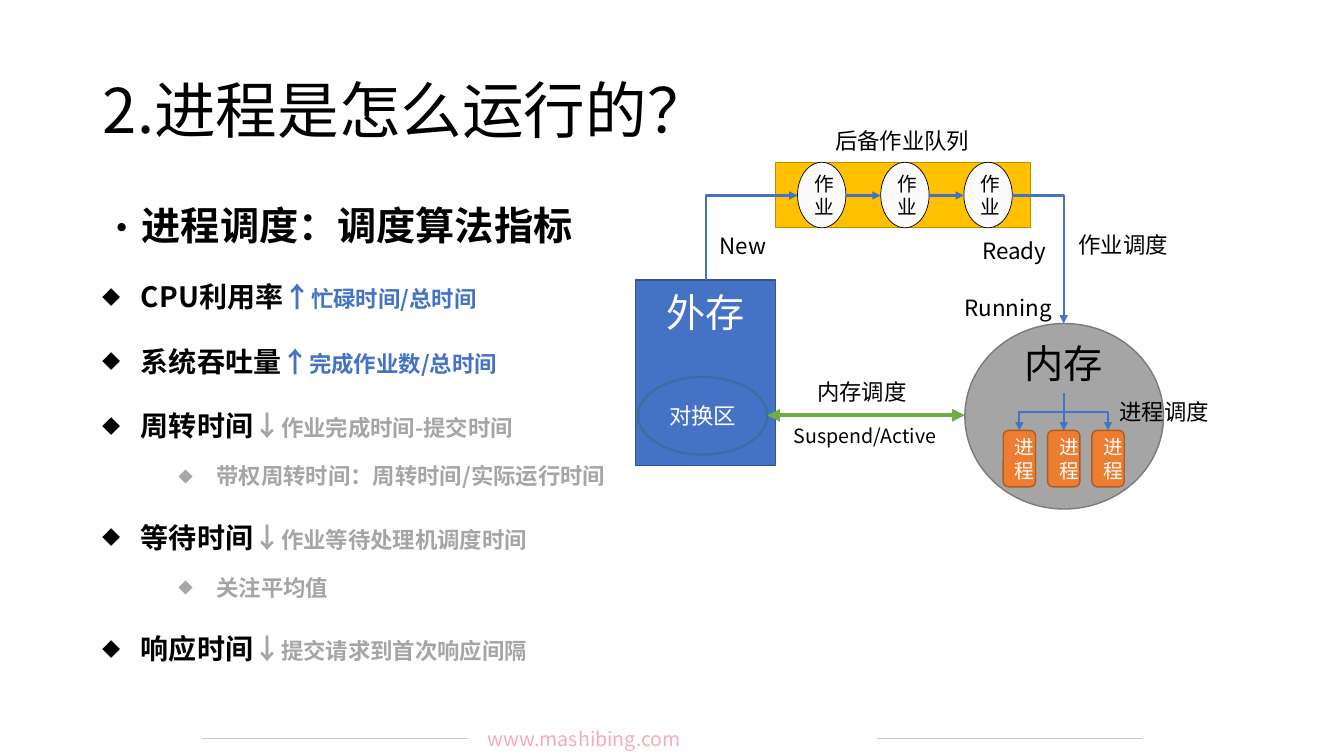
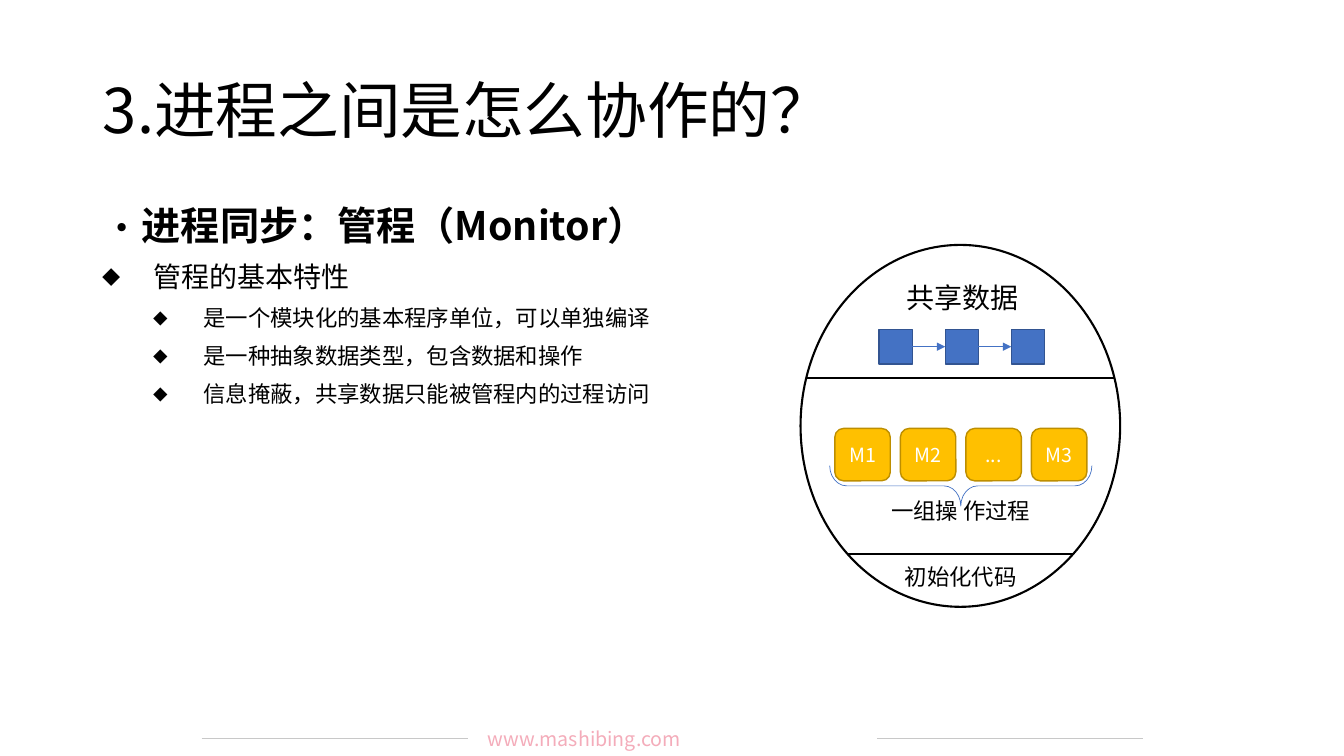
from dataclasses import dataclass
from typing import Optional

import lxml.etree
import pptx
import pptx.dml.color
import pptx.enum.dml
import pptx.enum.shapes
import pptx.enum.text
import pptx.oxml.ns
import pptx.util

Inches = pptx.util.Inches
qn = pptx.oxml.ns.qn
Kind = pptx.enum.shapes.MSO_SHAPE
Link = pptx.enum.shapes.MSO_CONNECTOR
Align = pptx.enum.text.PP_ALIGN
Anchor = pptx.enum.text.MSO_ANCHOR
Fit = pptx.enum.text.MSO_AUTO_SIZE


@dataclass(frozen=True)
class Theme:
    font: str = "Noto Sans CJK SC"
    black: str = "000000"
    white: str = "FFFFFF"
    pale: str = "FAFAFA"
    blue: str = "4472C4"
    blue_edge: str = "325491"
    swap_edge: str = "396E9E"
    gold: str = "FFC000"
    gold_edge: str = "BD8E00"
    gray: str = "A5A5A5"
    gray_edge: str = "7A7A7A"
    orange: str = "ED7D31"
    orange_edge: str = "AF5C24"
    green: str = "70AD47"
    pink: str = "F4ACBA"
    rule: str = "C8C8C8"
    title: float = 44
    heading: float = 28
    item: float = 20
    label: float = 16
    small: float = 14


THEME = Theme()


@dataclass(frozen=True)
class Piece:
    text: str
    size: float
    color: str = THEME.black
    bold: bool = False


@dataclass(frozen=True)
class Bullet:
    pieces: tuple[Piece, ...]
    margin: float
    hanging: float
    spacing: float = 0.9
    before: float = 10
    level: int = 0
    mark: str = "◆"
    mark_percent: int = 65


@dataclass(frozen=True)
class Label:
    text: str
    left: float
    top: float
    width: float
    height: float = 0.37
    size: float = THEME.label


@dataclass(frozen=True)
class Look:
    kind: Kind
    fill: Optional[str]
    edge: str
    edge_width: float = 1
    size: float = THEME.small
    color: str = THEME.white


JOB = Look(Kind.OVAL, THEME.pale, THEME.black, 0.5, color=THEME.black)
QUEUE = Look(Kind.RECTANGLE, THEME.gold, THEME.gold_edge)
DISK = Look(Kind.RECTANGLE, THEME.blue, THEME.blue_edge, size=THEME.heading)
SWAP = Look(Kind.OVAL, THEME.blue, THEME.swap_edge, 1.5, THEME.label)
MEMORY = Look(Kind.OVAL, THEME.gray, THEME.gray_edge)
PROCESS = Look(Kind.ROUNDED_RECTANGLE, THEME.orange, THEME.orange_edge)
MONITOR = Look(Kind.OVAL, None, THEME.black, 1.5)
METHOD = Look(Kind.ROUNDED_RECTANGLE, THEME.gold, THEME.gold_edge)
DATA = Look(Kind.RECTANGLE, THEME.blue, THEME.blue_edge)
BRACE = Look(Kind.LEFT_BRACE, None, THEME.blue, 0.5)


def rgb(color: str):
    return pptx.dml.color.RGBColor.from_string(color)


def add_run(paragraph, piece: Piece) -> None:
    run = paragraph.add_run()
    run.text = piece.text
    font = run.font
    font.name = THEME.font
    font.size = pptx.util.Pt(piece.size)
    font.bold = piece.bold
    font.color.rgb = rgb(piece.color)
    latin = font._element.find(qn("a:latin"))
    east_asian = lxml.etree.Element(qn("a:ea"), typeface=THEME.font)
    latin.addnext(east_asian)


def add_label(slide, label: Label, color: str = THEME.black, align=Align.CENTER):
    shape = slide.shapes.add_textbox(
        Inches(label.left), Inches(label.top), Inches(label.width), Inches(label.height))
    frame = shape.text_frame
    frame.word_wrap = True
    frame.auto_size = Fit.SHAPE_TO_FIT_TEXT
    paragraph = frame.paragraphs[0]
    paragraph.alignment = align
    add_run(paragraph, Piece(label.text, label.size, color))
    return shape


def add_figure(slide, look: Look, left: float, top: float, width: float, height: float,
               text: str = ""):
    shape = slide.shapes.add_shape(
        look.kind, Inches(left), Inches(top), Inches(width), Inches(height))
    shape.shadow.inherit = False
    if look.fill:
        shape.fill.solid()
        shape.fill.fore_color.rgb = rgb(look.fill)
    else:
        shape.fill.background()
    shape.line.color.rgb = rgb(look.edge)
    shape.line.width = pptx.util.Pt(look.edge_width)
    if text:
        shape.text_frame.word_wrap = True
        shape.text_frame.vertical_anchor = Anchor.MIDDLE
        paragraph = shape.text_frame.paragraphs[0]
        paragraph.alignment = Align.CENTER
        add_run(paragraph, Piece(text, look.size, look.color))
    return shape


def add_line(slide, start: tuple[float, float], end: tuple[float, float], color: str,
             width: float, ends: tuple[str, ...] = (), kind=Link.STRAIGHT):
    connector = slide.shapes.add_connector(
        kind, *(Inches(value) for value in start + end))
    connector.line.color.rgb = rgb(color)
    connector.line.width = pptx.util.Pt(width)
    outline = connector.line._ln
    for name in ends:
        lxml.etree.SubElement(outline, qn(f"a:{name}"), type="triangle")
    lxml.etree.SubElement(connector.element.spPr, qn("a:effectLst"))
    return connector


def add_elbow(slide, start: tuple[float, float], end: tuple[float, float],
              first: tuple, last: tuple, bends: int, upright: bool):
    if upright:
        middle_x, middle_y = (start[0] + end[0]) / 2, (start[1] + end[1]) / 2
        half_x, half_y = (end[0] - start[0]) / 2, (end[1] - start[1]) / 2
        start = (middle_x - half_y, middle_y + half_x)
        end = (middle_x + half_y, middle_y - half_x)
    connector = add_line(slide, start, end, THEME.blue, 1.5, ("tailEnd",), Link.ELBOW)
    properties = connector.element.spPr
    properties.find(qn("a:prstGeom")).set("prst", f"bentConnector{bends + 1}")
    if upright:
        properties.find(qn("a:xfrm")).set("rot", "5400000")
    joints = connector.element.find(".//" + qn("p:cNvCxnSpPr"))
    for name, (shape, site) in (("stCxn", first), ("endCxn", last)):
        lxml.etree.SubElement(
            joints, qn(f"a:{name}"), id=str(shape.shape_id), idx=str(site))


def add_body(slide, bullets: list[Bullet]) -> None:
    shape = slide.shapes.add_textbox(Inches(0.92), Inches(2), Inches(11.5), Inches(5.1))
    frame = shape.text_frame
    frame.word_wrap = True
    for index, bullet in enumerate(bullets):
        paragraph = frame.add_paragraph() if index else frame.paragraphs[0]
        paragraph.level = bullet.level
        properties = paragraph._p.get_or_add_pPr()
        properties.set("marL", str(Inches(bullet.margin)))
        properties.set("indent", str(-Inches(bullet.hanging)))
        lxml.etree.SubElement(
            properties, qn("a:buSzPct"), val=str(bullet.mark_percent * 1000))
        lxml.etree.SubElement(properties, qn("a:buFont"), typeface=THEME.font)
        lxml.etree.SubElement(properties, qn("a:buChar"), char=bullet.mark)
        paragraph.line_spacing = bullet.spacing
        if index:
            paragraph.space_before = pptx.util.Pt(bullet.before)
        for piece in bullet.pieces:
            add_run(paragraph, piece)


def heading(text: str) -> Bullet:
    piece = Piece(text, THEME.heading, bold=True)
    return Bullet((piece,), 0.25, 0.25, mark="•", mark_percent=100)


def metric(name: str, arrow: str, meaning: str) -> Bullet:
    color = THEME.blue if arrow == "↑" else THEME.gray
    pieces = (Piece(name, THEME.item, bold=True), Piece(arrow, THEME.item, color, True),
              Piece(meaning, THEME.label, color, True))
    return Bullet(pieces, 0.38, 0.38, 1.5)


def remark(text: str) -> Bullet:
    return Bullet((Piece(text, THEME.label, THEME.gray, True),), 1.13, 0.38, 1.5, 5, 1)


def add_footer(slide, layout) -> None:
    parts = [add_line(slide, (left, 7.33), (left + 2.64, 7.33), THEME.rule, 0.5)
             for left in (2, 8.7)]
    address = Label("www.mashibing.com", 4.74, 7.16, 3.85, 0.34, THEME.small)
    parts.append(add_label(slide, address, THEME.pink, Align.JUSTIFY))
    for part in parts:
        layout.shapes.element.append(part.element)


def add_slide(presentation, title: str, bullets: list[Bullet]):
    slide = presentation.slides.add_slide(presentation.slide_layouts[5])
    shape = slide.shapes.title
    shape.left, shape.top = Inches(0.92), Inches(0.4)
    shape.width, shape.height = Inches(11.5), Inches(1.45)
    shape.text_frame.vertical_anchor = Anchor.MIDDLE
    shape.text_frame.auto_size = Fit.NONE
    paragraph = shape.text_frame.paragraphs[0]
    paragraph.alignment = Align.LEFT
    paragraph.line_spacing = 0.9
    add_run(paragraph, Piece(title, THEME.title))
    add_body(slide, bullets)
    return slide


def draw_scheduling(slide) -> None:
    add_figure(slide, QUEUE, 7.69, 1.61, 2.53, 0.65)
    job_lefts = [7.91 + 0.825 * index for index in range(3)]
    jobs = [add_figure(slide, JOB, left, 1.61, 0.48, 0.65, "作业") for left in job_lefts]
    for left, following in zip(job_lefts, job_lefts[1:]):
        add_line(slide, (left + 0.48, 1.94), (following, 1.94), THEME.blue, 1.5, ("tailEnd",))
    disk = add_figure(slide, DISK, 6.3, 2.78, 1.39, 1.84, "外存")
    disk.text_frame.vertical_anchor = Anchor.TOP
    disk.text_frame.margin_top = Inches(0.08)
    add_figure(slide, SWAP, 6.33, 3.74, 1.28, 0.77, "对换区")
    memory = add_figure(slide, MEMORY, 9.57, 3.21, 1.97, 1.84)
    add_elbow(slide, (7, 2.78), (7.91, 1.94), (disk, 0), (jobs[0], 2), 1, True)
    add_elbow(slide, (10.04, 1.94), (10.55, 3.21), (jobs[-1], 6), (memory, 0), 1, False)
    add_line(slide, (7.61, 4.12), (9.57, 4.12), THEME.green, 3, ("headEnd", "tailEnd"))
    memory_name = add_label(slide, Label("内存", 9.93, 3.32, 1.24, 0.57, THEME.heading))
    for offset in (-0.44, 0, 0.44):
        center = 10.55 + offset
        process = add_figure(slide, PROCESS, center - 0.16, 4.27, 0.32, 0.56, "进程")
        start, end = (10.55, 3.9), (center, 4.27)
        if offset:
            add_elbow(slide, start, end, (memory_name, 2), (process, 0), 2, True)
        else:
            add_line(slide, start, end, THEME.blue, 1.5, ("tailEnd",))
    for label in (
        Label("后备作业队列", 8, 1.21, 1.9),
        Label("内存调度", 7.88, 3.7, 1.34),
        Label("作业调度", 10.47, 2.24, 1.34),
        Label("进程调度", 10.99, 3.9, 1.11),
        Label("New", 7.01, 2.25, 0.72),
        Label("Ready", 9.61, 2.3, 0.9),
        Label("Suspend/Active", 7.68, 4.16, 1.8, 0.34, THEME.small),
        Label("Running", 9.38, 2.87, 1.24),
    ):
        add_label(slide, label)


def draw_monitor(slide) -> None:
    add_figure(slide, MONITOR, 7.94, 2.43, 3.17, 3.59)
    for left, right, top in ((8.41, 10.65, 5.5), (7.99, 11.05, 3.75)):
        add_line(slide, (left, top), (right, top), THEME.black, 1.5)
    for index, name in enumerate(("M1", "M2", "...", "M3")):
        add_figure(slide, METHOD, 8.28 + 0.65 * index, 4.25, 0.55, 0.52, name)
    brace = add_figure(slide, BRACE, 9.33, 3.52, 0.4, 2.6)
    brace.rotation = 270
    brace.adjustments[0] = 0.42
    brace.adjustments[1] = 0.5
    data_lefts = [8.72 + 0.655 * index for index in range(3)]
    for left in data_lefts:
        add_figure(slide, DATA, left, 3.27, 0.33, 0.34)
    for left, following in zip(data_lefts, data_lefts[1:]):
        add_line(slide, (left + 0.33, 3.44), (following, 3.44), THEME.blue, 1, ("tailEnd",))
    for label in (
        Label("共享数据", 8.87, 2.73, 1.36, 0.44, THEME.item),
        Label("一组操 作过程", 8.62, 4.88, 1.82),
        Label("初始化代码", 8.85, 5.54, 1.36),
    ):
        add_label(slide, label)


def main() -> None:
    presentation = pptx.Presentation()
    presentation.slide_width, presentation.slide_height = Inches(13.33), Inches(7.5)
    scheduling = add_slide(presentation, "2.进程是怎么运行的？", [
        heading("进程调度：调度算法指标"),
        metric("CPU利用率", "↑", "忙碌时间/总时间"),
        metric("系统吞吐量", "↑", "完成作业数/总时间"),
        metric("周转时间", "↓", "作业完成时间-提交时间"),
        remark("带权周转时间：周转时间/实际运行时间"),
        metric("等待时间", "↓", "作业等待处理机调度时间"),
        remark("关注平均值"),
        metric("响应时间", "↓", "提交请求到首次响应间隔"),
    ])
    add_footer(scheduling, presentation.slide_layouts[5])
    draw_scheduling(scheduling)
    traits = ("是一个模块化的基本程序单位，可以单独编译", "是一种抽象数据类型，包含数据和操作",
              "信息掩蔽，共享数据只能被管程内的过程访问")
    monitor = add_slide(presentation, "3.进程之间是怎么协作的？", [
        heading("进程同步：管程（Monitor）"),
        Bullet((Piece("管程的基本特性", THEME.item),), 0.5, 0.5, level=1),
        *(Bullet((Piece(trait, THEME.label),), 1, 0.5, level=2) for trait in traits),
    ])
    draw_monitor(monitor)
    presentation.save("out.pptx")


if __name__ == "__main__":
    main()
